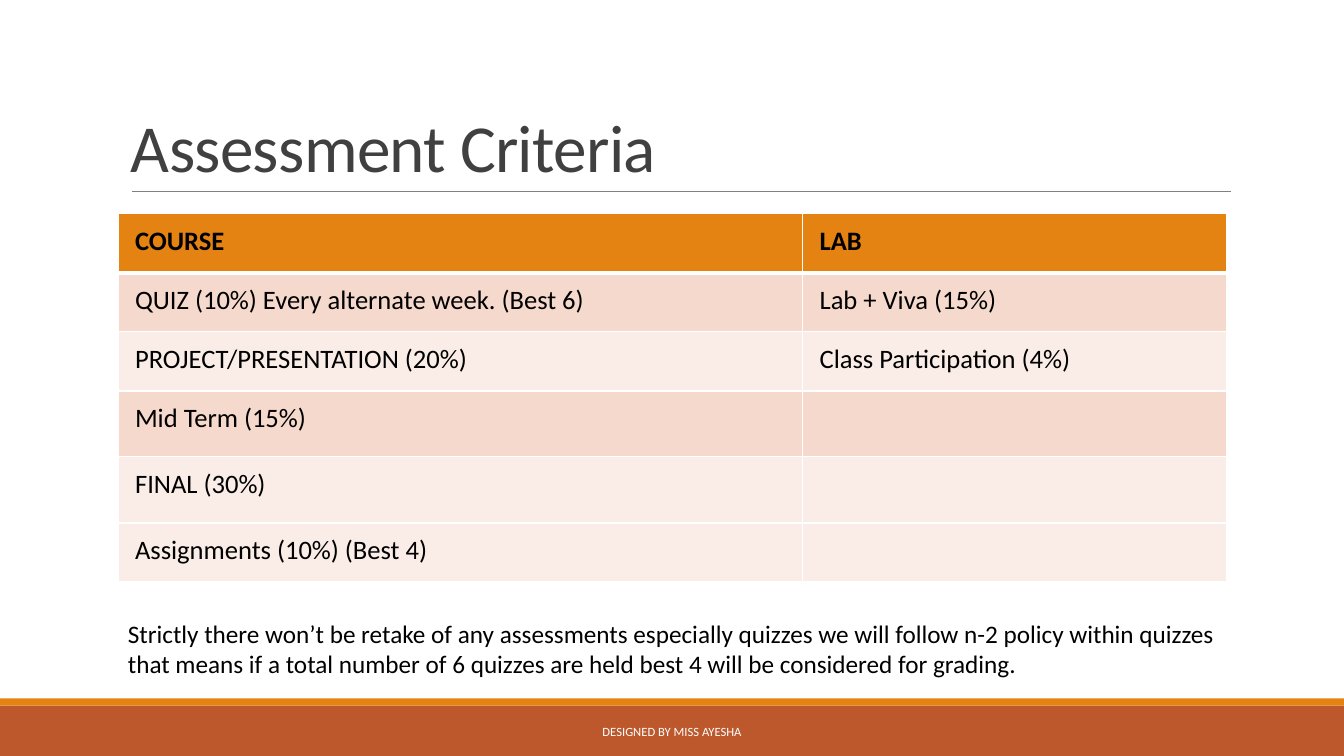
from lxml.etree import SubElement
from pptx import Presentation
from pptx.dml.color import RGBColor
from pptx.enum.shapes import MSO_CONNECTOR as Link, MSO_SHAPE as Shape
from pptx.enum.text import MSO_ANCHOR as Anchor, PP_ALIGN as Align
from pptx.oxml.ns import qn
from pptx.util import Inches, Pt

WHITE = RGBColor(0xFF, 0xFF, 0xFF)
BLACK = RGBColor(0, 0, 0)
DARK = RGBColor(0x40, 0x40, 0x40)
GRAY = RGBColor(0x80, 0x80, 0x80)
RUST = RGBColor(0xBD, 0x58, 0x2C)
ORANGE = RGBColor(0xE4, 0x83, 0x12)
PEACH = RGBColor(0xF5, 0xD9, 0xCC)
PALE = RGBColor(0xFA, 0xED, 0xE7)

ROWS = [
    ("COURSE", "LAB", 0.59, ORANGE),
    ("QUIZ (10%) Every alternate week. (Best 6)", "Lab + Viva (15%)", 0.58, PEACH),
    ("PROJECT/PRESENTATION (20%)", "Class Participation (4%)", 0.59, PALE),
    ("Mid Term (15%)", "", 0.65, PEACH),
    ("FINAL (30%)", "", 0.66, PALE),
    ("Assignments (10%) (Best 4)", "", 0.58, PALE),
]
WIDTHS = (6.79, 4.21)
NOTE = (
    "Strictly there won’t be retake of any assessments especially quizzes "
    "we will follow n-2 policy within quizzes that means if a total number "
    "of 6 quizzes are held best 4 will be considered for grading."
)


class Deck:
    font = "Calibri"

    def __init__(self):
        self.show = Presentation()
        self.show.slide_width = Inches(13.33)
        self.show.slide_height = Inches(7.5)
        self.slide = self.show.slides.add_slide(self.show.slide_layouts[6])
        self.shapes = self.slide.shapes

    def style(self, para, size, color, bold=False):
        for run in para.runs:
            run.font.name = self.font
            run.font.size = Pt(size)
            run.font.bold = bold
            run.font.color.rgb = color

    def bar(self, top, height, color):
        bar = self.shapes.add_shape(
            Shape.RECTANGLE, 0, Inches(top), self.show.slide_width, Inches(height))
        bar.shadow.inherit = False
        bar.fill.solid()
        bar.fill.fore_color.rgb = color
        bar.line.fill.background()

    def rule(self, left, right, top):
        line = self.shapes.add_connector(
            Link.STRAIGHT, Inches(left), Inches(top), Inches(right), Inches(top))
        line.line.color.rgb = GRAY
        line.line.width = Pt(0.5)
        SubElement(line._element.spPr, qn("a:effectLst"))

    def text(self, box, words, size, color, anchor=Anchor.TOP, align=Align.LEFT):
        frame = self.shapes.add_textbox(*map(Inches, box)).text_frame
        frame.word_wrap = True
        frame.vertical_anchor = anchor
        frame.text = words
        para = frame.paragraphs[0]
        para.alignment = align
        self.style(para, size, color)
        return para

    def edge(self, cell, side, width):
        props = cell._tc.get_or_add_tcPr()
        line = SubElement(props, qn("a:ln" + side), w=str(Pt(width)))
        fill = SubElement(line, qn("a:solidFill"))
        SubElement(fill, qn("a:srgbClr"), val=str(WHITE))

    def cell(self, cell, words, row, color):
        cell.margin_left = cell.margin_right = Inches(0.17)
        cell.margin_top = cell.margin_bottom = Inches(0.09)
        for side in "LRTB":
            thick = (row, side) in ((0, "B"), (1, "T"))
            self.edge(cell, side, 3 if thick else 1)
        cell.fill.solid()
        cell.fill.fore_color.rgb = color
        if words:
            cell.text = words
            para = cell.text_frame.paragraphs[0]
            para.line_spacing = 1.07
            para.space_after = Pt(8)
            self.style(para, 19, BLACK, row == 0)

    def table(self, left, top):
        high = sum(row[2] for row in ROWS)
        table = self.shapes.add_table(
            len(ROWS), len(WIDTHS), Inches(left), Inches(top),
            Inches(sum(WIDTHS)), Inches(high)).table
        for col, width in zip(table.columns, WIDTHS):
            col.width = Inches(width)
        for i, (course, lab, height, color) in enumerate(ROWS):
            table.rows[i].height = Inches(height)
            for j, words in enumerate((course, lab)):
                self.cell(table.cell(i, j), words, i, color)


def main():
    deck = Deck()
    deck.bar(7, 0.5, RUST)
    deck.bar(6.93, 0.07, ORANGE)
    deck.rule(1.31, 12.21, 1.9)
    title = deck.text((1.2, 0.31, 11, 1.59), "Assessment Criteria", 48, DARK, Anchor.BOTTOM)
    title.line_spacing = 0.85
    title.runs[0].font._element.set("spc", "-50")
    deck.table(1.17, 2.12)
    deck.text((1.17, 6.08, 11.03, 0.71), NOTE, 18, BLACK)
    deck.text((4.03, 7.06, 5.27, 0.4), "DESIGNED BY MISS AYESHA", 9, WHITE,
              Anchor.MIDDLE, Align.CENTER)
    deck.show.save("out.pptx")


if __name__ == "__main__":
    main()
